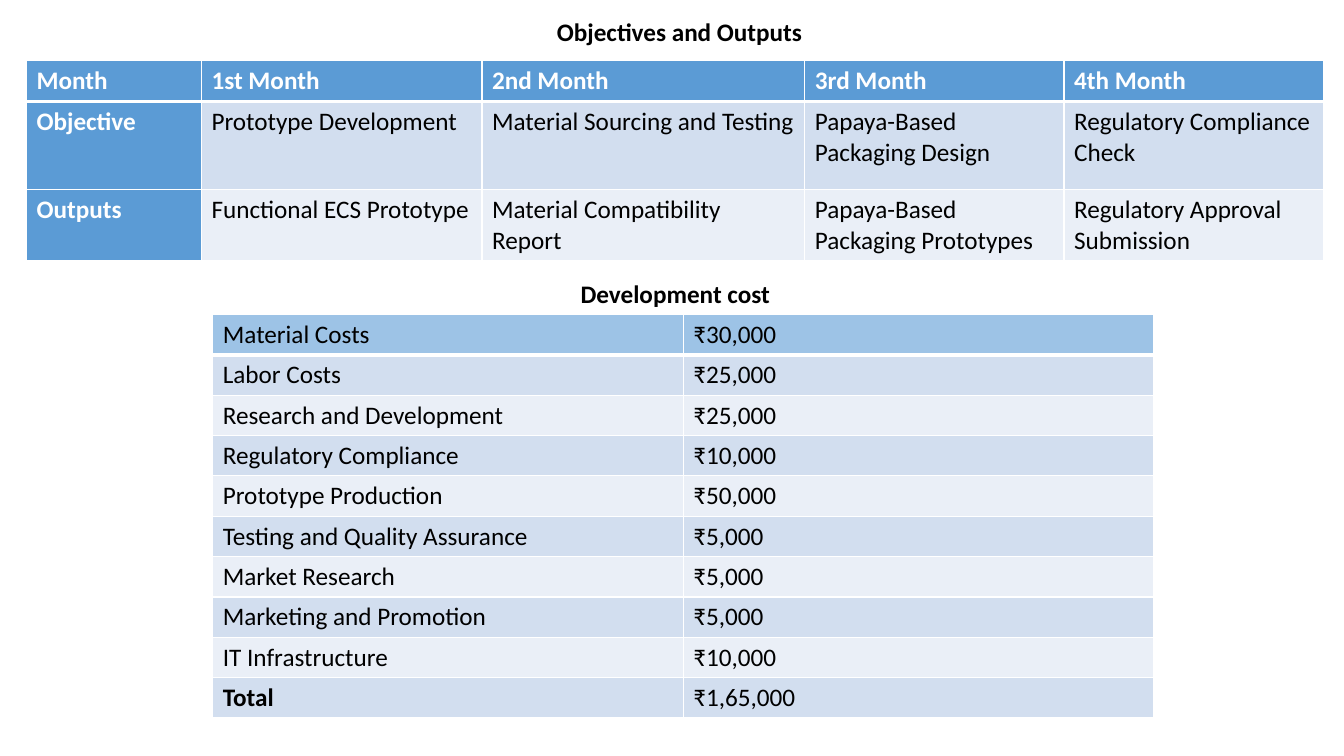
from pptx import Presentation
from pptx.dml.color import RGBColor
from pptx.enum.text import MSO_ANCHOR as Anchor, MSO_AUTO_SIZE as AutoSize, PP_ALIGN as Align
from pptx.oxml.ns import qn
from pptx.util import Pt
from lxml.etree import SubElement

COLORS = {
    "text": "000000",
    "white": "FFFFFF",
    "header": "5B9BD5",
    "cost_header": "9DC3E6",
    "band_dark": "D2DEEF",
    "band_light": "EAEFF7",
}

SCHEDULE = [
    ["Month", "1st Month", "2nd Month", "3rd Month", "4th Month"],
    ["Objective", "Prototype Development", "Material Sourcing and Testing",
     "Papaya-Based Packaging Design", "Regulatory Compliance Check"],
    ["Outputs", "Functional ECS Prototype", "Material Compatibility Report",
     "Papaya-Based Packaging Prototypes", "Regulatory Approval Submission"],
]

COSTS = [
    ["Material Costs", "₹30,000"],
    ["Labor Costs", "₹25,000"],
    ["Research and Development", "₹25,000"],
    ["Regulatory Compliance", "₹10,000"],
    ["Prototype Production", "₹50,000"],
    ["Testing and Quality Assurance", "₹5,000"],
    ["Market Research", "₹5,000"],
    ["Marketing and Promotion", "₹5,000"],
    ["IT Infrastructure", "₹10,000"],
    ["Total", "₹1,65,000"],
]


class SlideBuilder:
    font_name = "Calibri"
    font_size = 18

    def __init__(self, slide):
        self.slide = slide

    def style(self, paragraph, color="text", bold=False):
        font = paragraph.font
        font.name = self.font_name
        font.size = Pt(self.font_size)
        font.bold = bold
        font.color.rgb = RGBColor.from_string(COLORS[color])

    def heading(self, shape, text, left, top, width, height):
        shape.left, shape.top = Pt(left), Pt(top)
        shape.width, shape.height = Pt(width), Pt(height)
        frame = shape.text_frame
        frame.text = text
        frame.word_wrap = True
        frame.auto_size = AutoSize.SHAPE_TO_FIT_TEXT
        frame.vertical_anchor = Anchor.TOP
        paragraph = frame.paragraphs[0]
        paragraph.alignment = Align.CENTER
        self.style(paragraph, bold=True)

    def title(self, text, *box):
        self.heading(self.slide.shapes.title, text, *box)

    def subtitle(self, text, *box):
        shape = self.slide.shapes.add_textbox(0, 0, 0, 0)
        self.heading(shape, text, *box)

    def borders(self, cell, row):
        properties = cell._tc.get_or_add_tcPr()
        widths = {"lnL": 1, "lnR": 1, "lnT": 3 if row == 1 else 1, "lnB": 3 if row == 0 else 1}
        for position, (tag, width) in enumerate(widths.items()):
            line = SubElement(properties, qn(f"a:{tag}"), w=str(Pt(width)))
            fill = SubElement(line, qn("a:solidFill"))
            SubElement(fill, qn("a:srgbClr"), val=COLORS["white"])
            properties.insert(position, line)

    def table(self, left, top, columns, heights, rows, look):
        frame = self.slide.shapes.add_table(
            len(rows), len(columns), Pt(left), Pt(top), Pt(sum(columns)), Pt(sum(heights)))
        table = frame.table
        for column, width in zip(table.columns, columns):
            column.width = Pt(width)
        for row, height in zip(table.rows, heights):
            row.height = Pt(height)
        for row, texts in enumerate(rows):
            for column, text in enumerate(texts):
                fill, color, bold = look(row, column)
                cell = table.cell(row, column)
                cell.text = text
                cell.fill.solid()
                cell.fill.fore_color.rgb = RGBColor.from_string(COLORS[fill])
                self.style(cell.text_frame.paragraphs[0], color, bold)
                self.borders(cell, row)


def band(row):
    return "band_dark" if row % 2 else "band_light"


def schedule_look(row, column):
    if row == 0 or column == 0:
        return "header", "white", True
    return band(row), "text", False


def cost_look(row, column):
    is_total = row == len(COSTS) - 1 and column == 0
    return band(row) if row else "cost_header", "text", is_total


def main():
    presentation = Presentation()
    presentation.slide_width, presentation.slide_height = Pt(960), Pt(540)
    builder = SlideBuilder(presentation.slides.add_slide(presentation.slide_layouts[5]))
    builder.title("Objectives and Outputs ", 241.2, 8, 492.5, 29)
    builder.subtitle("Development cost", 322.5, 195, 319.7, 29)
    builder.table(18.9, 43.2, [125, 200.4, 230.6, 185.2, 185.2], [29.2, 63, 50.4],
                  SCHEDULE, schedule_look)
    builder.table(152, 224.6, [336] * 2, [28.8] * len(COSTS), COSTS, cost_look)
    presentation.save("out.pptx")


if __name__ == "__main__":
    main()
